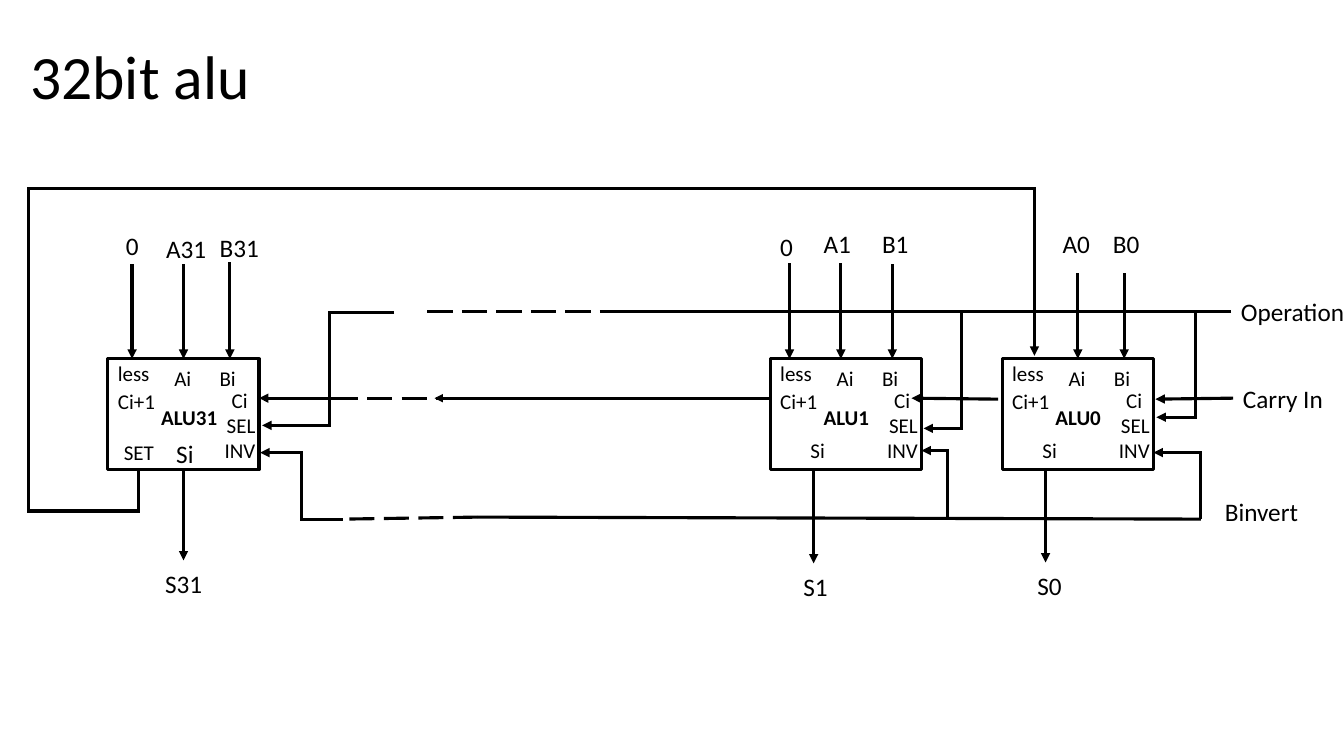
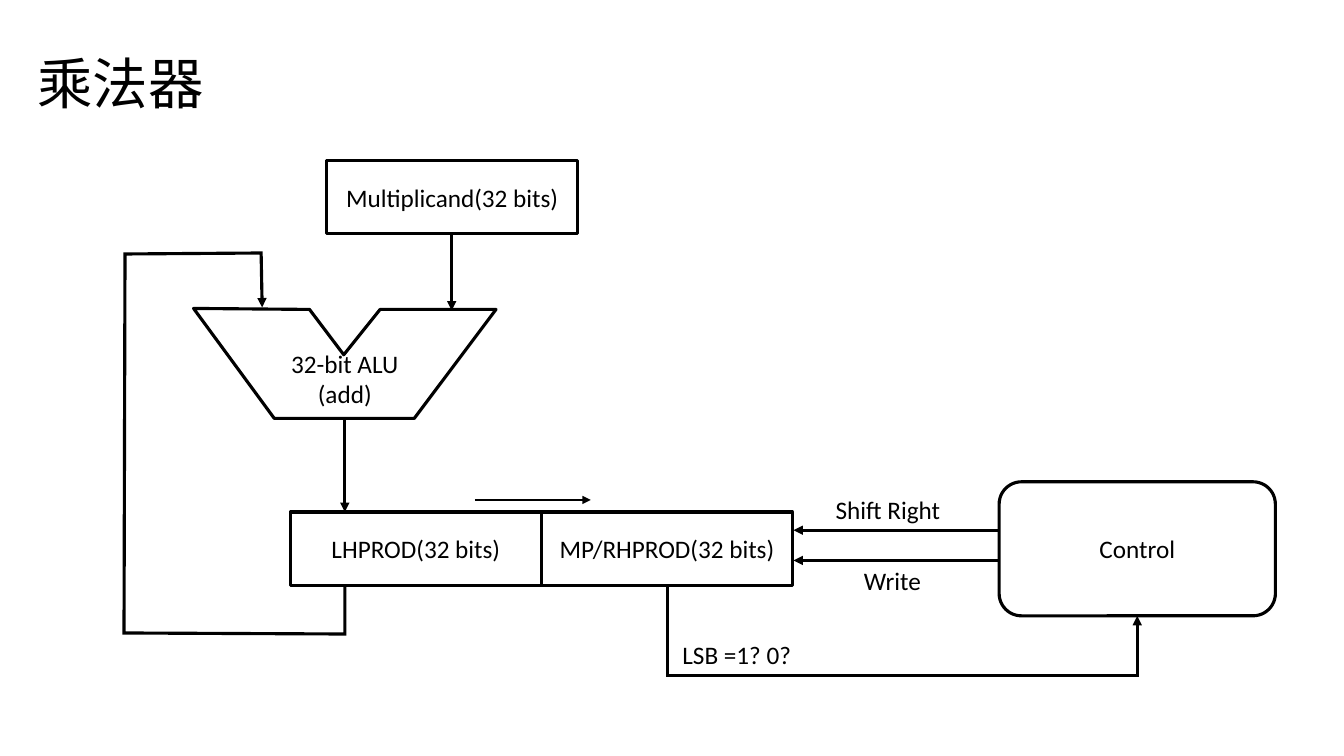
import lxml.etree
import pptx
import pptx.dml.color
import pptx.enum.dml
import pptx.enum.shapes
import pptx.enum.text
import pptx.oxml.ns
import pptx.util

Inches = pptx.util.Inches
qn = pptx.oxml.ns.qn
Shape = pptx.enum.shapes.MSO_SHAPE
Align = pptx.enum.text.PP_ALIGN
Middle = pptx.enum.text.MSO_ANCHOR.MIDDLE

HUES = {"ink": "000000", "paper": "FFFFFF"}
FACE = "Calibri"
HAN = "Noto Sans CJK SC"
TITLE = {"align": Align.LEFT, "size": 44, "spacing": 0.9}
PINS = [
    ("less", 0, -0.03, 0.63),
    ("Ai", 0.56, 0.02, 0.52),
    ("Bi", 1.01, 0.02, 0.6),
    ("Ci", 1.13, 0.24, 0.45),
    ("SEL", 1.08, 0.48, 0.7),
    ("INV", 1.06, 0.73, 0.57),
    ("Ci+1", 0, 0.25, 0.82),
]


def hue(name):
    """Return a palette colour."""
    return pptx.dml.color.RGBColor.from_string(HUES[name])


def write(frame, text, size=18, bold=False, align=Align.LEFT, spacing=None, face=FACE):
    """Fill a text frame, one paragraph for each line."""
    frame.word_wrap = True
    for num, line in enumerate(text.split("\n")):
        para = frame.add_paragraph() if num else frame.paragraphs[0]
        for key, val in {"alignment": align, "line_spacing": spacing}.items():
            setattr(para, key, val)
        run = para.add_run()
        run.text = line
        for key, val in {"size": pptx.util.Pt(size), "bold": bold, "name": face}.items():
            setattr(run.font, key, val)
        run.font.color.rgb = hue("ink")
        east = lxml.etree.SubElement(run._r.get_or_add_rPr(), qn("a:ea"))
        east.set("typeface", HAN)


def head(slide, box, text, **style):
    """Place the slide title."""
    title = slide.shapes.title
    for key, val in zip(("left", "top", "width", "height"), box):
        setattr(title, key, Inches(val))
    title.text_frame.vertical_anchor = Middle
    title.text_frame.auto_size = pptx.enum.text.MSO_AUTO_SIZE.NONE
    write(title.text_frame, text, **{**TITLE, **style})


def label(slide, base, spot, text, **style):
    """Place a text label at a left, top and width from the base."""
    left, top, wide = spot
    area = slide.shapes.add_textbox(
        Inches(base[0] + left), Inches(base[1] + top), Inches(wide), Inches(0.4))
    write(area.text_frame, text, **style)


def stroke(shape, width=2.25):
    """Draw the outline of a shape in ink."""
    shape.line.color.rgb = hue("ink")
    shape.line.width = pptx.util.Pt(width)


def block(shape):
    """Give a shape a plain paper fill and an ink outline."""
    shape.shadow.inherit = False
    shape.fill.solid()
    shape.fill.fore_color.rgb = hue("paper")
    stroke(shape)


def box(slide, base, rect, text="", kind=Shape.RECTANGLE):
    """Draw a box with centred text."""
    left, top, wide, high = rect
    shape = slide.shapes.add_shape(
        kind, Inches(base[0] + left), Inches(base[1] + top), Inches(wide), Inches(high))
    block(shape)
    if text:
        shape.text_frame.vertical_anchor = Middle
        write(shape.text_frame, text, align=Align.CENTER)


def trace(slide, spots, close):
    """Build an outline through points in EMU."""
    form = slide.shapes.build_freeform(*spots[0])
    form.add_line_segments(spots[1:], close=close)
    return form.convert_to_shape()


def place(base, spots):
    """Turn points from the base into EMU."""
    return [(Inches(base[0] + x), Inches(base[1] + y)) for x, y in spots]


def wire(slide, base, spots, arrow=True, dash=False, width=2.25):
    """Draw a straight or bent wire, with an arrow at its end."""
    ends = place(base, spots)
    if len(ends) == 2:
        line = slide.shapes.add_connector(
            pptx.enum.shapes.MSO_CONNECTOR.STRAIGHT, *ends[0], *ends[1])
    else:
        line = trace(slide, ends, False)
        line.fill.background()
    stroke(line, width)
    if dash:
        line.line.dash_style = pptx.enum.dml.MSO_LINE.LONG_DASH
    props = line._element.spPr
    pen = props.find(qn("a:ln"))
    lxml.etree.SubElement(pen, qn("a:miter")).set("lim", "800000")
    if arrow:
        lxml.etree.SubElement(pen, qn("a:tailEnd")).set("type", "triangle")
    lxml.etree.SubElement(props, qn("a:effectLst"))


def cell(slide, base, name, feeds, out):
    """Draw a one-bit ALU with its pins, inputs and output."""
    box(slide, base, (0, 0, 1.5, 1.1))
    for text, left, top, wide in PINS:
        label(slide, base, (left, top, wide), text, size=15)
    label(slide, base, (0.43, 0.4, 0.8), name, size=15, bold=True)
    for text, left, top, pin, start in feeds:
        label(slide, base, (left, top, 0.66), text)
        wire(slide, base, [(pin, start), (pin, 0)])
    text, left, top, pin = out
    label(slide, base, (left, top, 0.8), text)
    wire(slide, base, [(pin, 1.11), (pin, top - 0.03)])


def buses(slide, base):
    """Draw the wires that join the cells, and their names."""
    for spots in (
        [(3.63, 1.23), (2.99, 1.23), (2.99, 2.35), (2.32, 2.35)],
        [(3.12, 3.28), (2.71, 3.28), (2.71, 2.62), (2.3, 2.62)],
        [(11.63, 3.28), (11.63, 2.62), (11.16, 2.62)],
        [(9.12, 3.28), (9.12, 2.6), (8.86, 2.6)],
        [(11.58, 1.24), (11.58, 2.27), (11.19, 2.27)],
        [(9.26, 1.24), (9.26, 2.38), (8.88, 2.38)],
        [(1.09, 2.8), (1.09, 3.2), (0, 3.2), (0, 0), (9.98, 0), (9.98, 1.66)],
        [(11.95, 2.08), (11.18, 2.09)],
        [(9.62, 2.09), (8.76, 2.08)],
        [(3.21, 2.08), (2.29, 2.08)],
    ):
        wire(slide, base, spots)
    for start, end, dash in (
        ((11.93, 1.22), (5.7, 1.22), False),
        ((3.96, 1.22), (5.94, 1.22), True),
        ((11.63, 3.28), (4.46, 3.26), False),
        ((4.46, 3.26), (3.12, 3.28), True),
        ((3.02, 2.08), (4.05, 2.08), True),
        ((4.05, 2.08), (7.36, 2.08), False),
    ):
        wire(slide, base, [start, end], arrow=False, dash=dash)
    wire(slide, base, [(4.74, 2.08), (4.03, 2.08)], width=0.5)
    for text, left, top in (
        ("Operation", 11.93, 1.02), ("Carry In", 11.95, 1.88), ("Binvert", 11.77, 3)):
        label(slide, base, (left, top, 1.3), text)


def adder(slide, base):
    """Draw the notched ALU."""
    shape = trace(slide, place(base, [
        (0, 0), (1.15, 0.01), (1.49, 0.46), (1.85, 0.01), (3, 0.01), (2.19, 1.09), (0.8, 1.09)]), True)
    block(shape)
    shape.text_frame.margin_top = Inches(0.35)
    shape.text_frame.vertical_anchor = Middle
    write(shape.text_frame, "32-bit ALU\n(add)", align=Align.CENTER)


def chain(slide, base):
    """Draw the row of ALU cells and the buses."""
    left, top = base
    row = top + 1.69
    cell(slide, (left + 9.66, row), "ALU0",
         [("A0", 0.5, -1.34, 0.75, -0.85), ("B0", 1, -1.34, 1.21, -0.85)],
         ("S0", 0.25, 2.05, 0.43))
    cell(slide, (left + 7.36, row), "ALU1",
         [("0", 0, -1.31, 0.19, -0.95), ("A1", 0.43, -1.34, 0.7, -0.95),
          ("B1", 1.01, -1.34, 1.21, -0.94)],
         ("S1", 0.23, 2.06, 0.43))
    last = (left + 0.79, row)
    cell(slide, last, "ALU31",
         [("0", 0.08, -1.32, 0.24, -0.94), ("A31", 0.48, -1.29, 0.75, -0.94),
          ("B31", 1.01, -1.3, 1.21, -0.96)],
         ("S31", 0.47, 2.03, 0.75))
    label(slide, last, (0.06, 0.75, 0.79), "SET", size=15)
    label(slide, last, (0.58, 0.74, 0.5), "Si")
    for start in (9.66, 7.36):
        label(slide, (left + start, row), (0.3, 0.73, 0.79), "Si", size=15)
    buses(slide, base)


def product(slide, base):
    """Draw the multiplier with its registers and control."""
    adder(slide, (base[0] + 0.69, base[1] + 1.47))
    for text, left, top in (
        ("LHPROD(32 bits)", 1.65, 3.49),
        ("MP/RHPROD(32 bits)", 4.14, 3.49),
        ("Multiplicand(32 bits)", 2.01, 0),
    ):
        box(slide, base, (left, top, 2.49, 0.73), text)
    box(slide, base, (8.68, 3.19, 2.74, 1.33), "Control", Shape.ROUNDED_RECTANGLE)
    for spots in (
        [(3.25, 0.74), (3.25, 1.49)],
        [(2.19, 2.58), (2.19, 3.49)],
        [(2.19, 4.22), (2.19, 4.7), (0, 4.69), (0.01, 0.93), (1.36, 0.92), (1.37, 1.46)],
        [(5.39, 4.22), (5.39, 5.11), (10.05, 5.11), (10.05, 4.52)],
        [(8.68, 3.67), (6.64, 3.67)],
        [(8.68, 3.97), (6.64, 3.97)],
    ):
        wire(slide, base, spots)
    wire(slide, base, [(3.48, 3.37), (4.63, 3.37)], width=1.5)
    for text, left, top in (
        ("LSB =1? 0?", 5.44, 4.7), ("Shift Right", 6.96, 3.27), ("Write", 7.24, 3.97)):
        label(slide, base, (left, top, 1.4), text)


def main():
    """Build and save the deck."""
    deck = pptx.Presentation()
    deck.slide_width, deck.slide_height = Inches(13.33), Inches(7.5)
    plain = deck.slide_layouts[5]
    first = deck.slides.add_slide(plain)
    head(first, (0.2, 0.28, 3.05, 1.02), "32bit alu")
    chain(first, (0.28, 1.87))
    second = deck.slides.add_slide(plain)
    head(second, (0.27, 0.51, 2.82, 0.69), "乘法器", size=39.6, face=HAN)
    product(second, (1.23, 1.59))
    deck.save("out.pptx")


if __name__ == "__main__":
    main()
